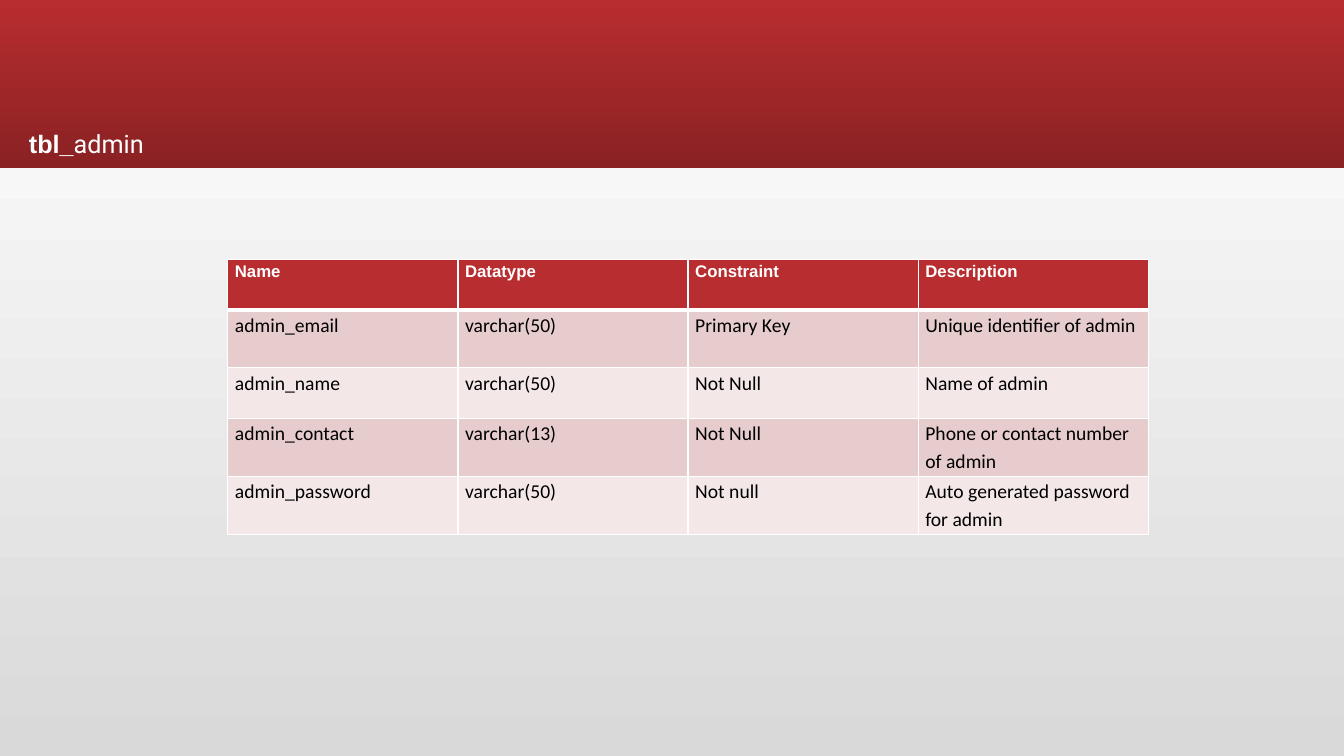
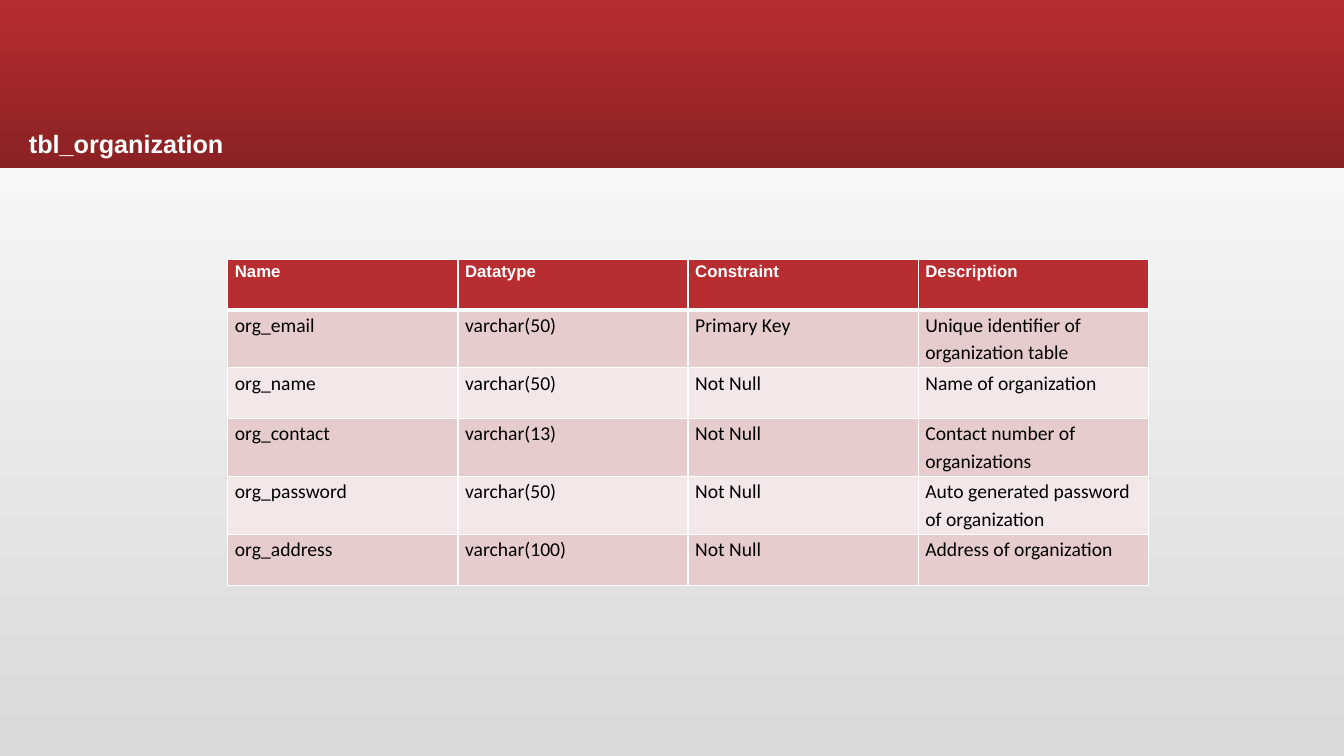
import pptx
import pptx.dml.color
import pptx.enum.shapes
import pptx.oxml
import pptx.oxml.ns
import pptx.util
from pptx.util import Cm, Pt

RGBColor = pptx.dml.color.RGBColor
RED = RGBColor(0xB8, 0x2D, 0x2F)
DARK_RED = RGBColor(0x8A, 0x21, 0x23)
WHITE = RGBColor(0xFF, 0xFF, 0xFF)
GREY = RGBColor(0xD9, 0xD9, 0xD9)
BLACK = RGBColor(0, 0, 0)
ROW_FILLS = (RGBColor(0xE6, 0xCC, 0xCC), RGBColor(0xF3, 0xE7, 0xE7))

SLIDE_WIDTH, SLIDE_HEIGHT = Cm(33.87), Cm(19.05)
BAND_HEIGHT = Cm(4.23)
COLUMN_WIDTH = Cm(5.8)
LOW_ROW, HIGH_ROW = Cm(1.28), Cm(1.46)
ROW_HEIGHTS = (LOW_ROW, HIGH_ROW, LOW_ROW, HIGH_ROW, HIGH_ROW, LOW_ROW)
THIN, THICK = Pt(1), Pt(3)

HEADER = ("Name", "Datatype", "Constraint", "Description")
ADMIN_FIELDS = (
    ("admin_email", "varchar(50)", "Primary Key", "Unique identifier of admin"),
    ("admin_name", "varchar(50)", "Not Null", "Name of admin"),
    ("admin_contact", "varchar(13)", "Not Null", "Phone or contact number of admin"),
    ("admin_password", "varchar(50)", "Not null", "Auto generated password for admin"),
)
ORGANIZATION_FIELDS = (
    ("org_email", "varchar(50)", "Primary Key", "Unique identifier of organization table"),
    ("org_name", "varchar(50)", "Not Null", "Name of organization"),
    ("org_contact", "varchar(13)", "Not Null", "Contact number of organizations"),
    ("org_password", "varchar(50)", "Not Null", "Auto generated password of organization"),
    ("org_address", "varchar(100)", "Not Null", "Address of organization"),
)


def fill_gradient(fill, top, bottom):
    fill.gradient()
    fill.gradient_angle = 270
    for stop, color in zip(fill.gradient_stops, (top, bottom)):
        stop.color.rgb = color


def style_span(span, font, size, color, bold):
    span.font.name = font
    span.font.size = Pt(size)
    span.font.color.rgb = color
    span.font.bold = bold


def add_band(page):
    band = page.shapes.add_shape(
        pptx.enum.shapes.MSO_SHAPE.RECTANGLE, 0, 0, SLIDE_WIDTH, BAND_HEIGHT)
    band.shadow.inherit = False
    band.line.fill.background()
    fill_gradient(band.fill, RED, DARK_RED)


def add_title(page, bold_text, light_text):
    box = page.shapes.add_textbox(Cm(0.48), Cm(3.33), Cm(5.87), Cm(0.74))
    box.text_frame.word_wrap = True
    para = box.text_frame.paragraphs[0]
    para.line_spacing = 0.67
    for text, font, bold in ((bold_text, "Arial", True), (light_text, "Roboto", False)):
        if text:
            span = para.add_run()
            span.text = text
            style_span(span, font, 18, WHITE, bold)


def set_borders(cell, top, bottom):
    """Draw white borders; call before filling, as the schema puts lines first."""
    properties = cell._tc.get_or_add_tcPr()
    for side, width in (("L", THIN), ("R", THIN), ("T", top), ("B", bottom)):
        properties.append(pptx.oxml.parse_xml(
            f'<a:ln{side} {pptx.oxml.ns.nsdecls("a")} w="{width}"><a:solidFill>'
            f'<a:srgbClr val="{WHITE}"/></a:solidFill></a:ln{side}>'))


def fill_cell(cell, text, row):
    is_header = row == 0
    set_borders(cell, THICK if row == 1 else THIN, THICK if is_header else THIN)
    cell.fill.solid()
    cell.fill.fore_color.rgb = RED if is_header else ROW_FILLS[(row - 1) % 2]
    cell.margin_left = cell.margin_right = Cm(0.18)
    cell.margin_top = cell.margin_bottom = 0
    cell.text_frame.text = text
    para = cell.text_frame.paragraphs[0]
    para.line_spacing = 1.15
    if is_header:
        style_span(para.runs[0], "Arial", 12, WHITE, True)
    else:
        style_span(para.runs[0], "Calibri", 14, BLACK, False)


def add_field_table(page, fields):
    rows = (HEADER, *fields)
    heights = ROW_HEIGHTS[:len(rows)]
    table = page.shapes.add_table(
        len(rows), len(HEADER), Cm(5.74), Cm(6.53),
        COLUMN_WIDTH * len(HEADER), sum(heights)).table
    table.horz_banding = False
    for column in table.columns:
        column.width = COLUMN_WIDTH
    for row, (texts, height) in enumerate(zip(rows, heights)):
        table.rows[row].height = height
        for column, text in enumerate(texts):
            fill_cell(table.cell(row, column), text, row)


def add_table_page(deck, bold_text, light_text, fields):
    page = deck.slides.add_slide(deck.slide_layouts[6])
    add_band(page)
    add_field_table(page, fields)
    add_title(page, bold_text, light_text)


def main():
    deck = pptx.Presentation()
    deck.slide_width, deck.slide_height = SLIDE_WIDTH, SLIDE_HEIGHT
    fill_gradient(deck.slide_master.background.fill, WHITE, GREY)
    add_table_page(deck, "tbl_", "admin", ADMIN_FIELDS)
    add_table_page(deck, "tbl_organization", "", ORGANIZATION_FIELDS)
    deck.save("out.pptx")


if __name__ == "__main__":
    main()
